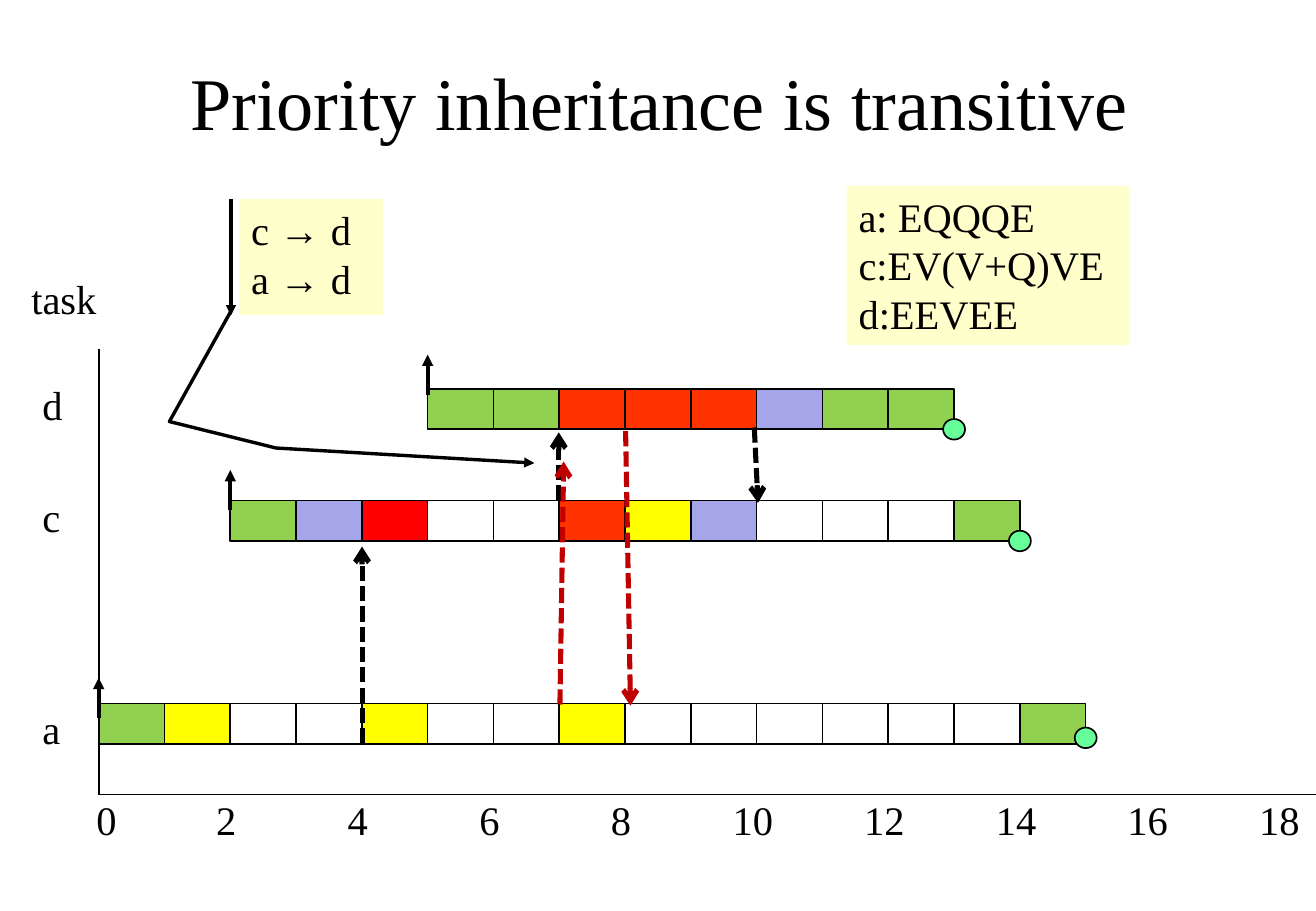
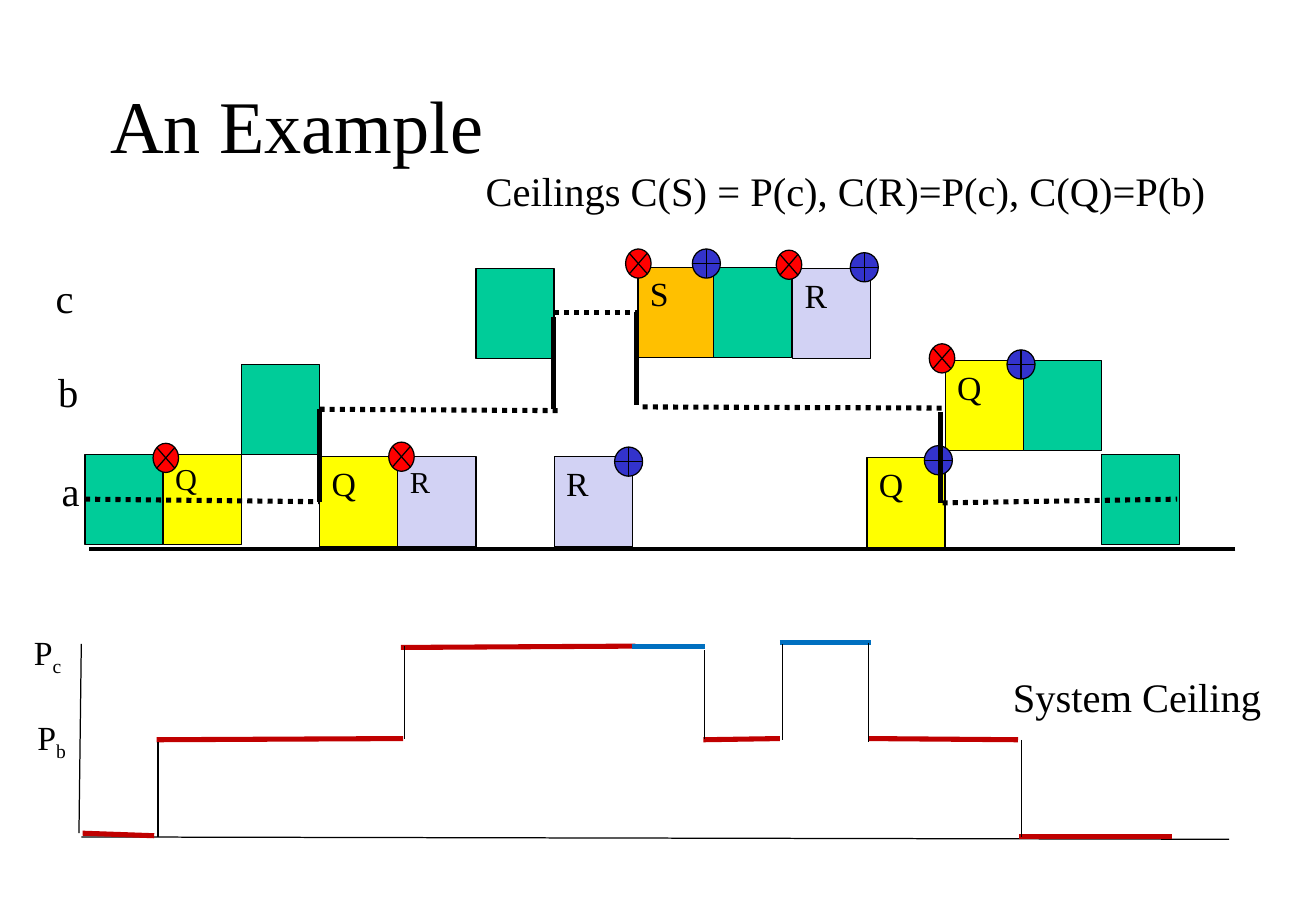
"""Build two scheduling slides: priority inheritance and priority ceilings."""
from dataclasses import dataclass

from lxml.etree import SubElement
from pptx import Presentation
from pptx.dml.color import RGBColor
from pptx.enum.dml import MSO_LINE
from pptx.enum.shapes import MSO_CONNECTOR, MSO_SHAPE
from pptx.enum.text import MSO_ANCHOR, PP_ALIGN
from pptx.oxml.ns import qn
from pptx.util import Pt


@dataclass(frozen=True)
class Theme:
    font: str = "Times New Roman"
    symbol_font: str = "Arial"
    title: int = 44
    body: int = 24
    label: int = 20
    small: int = 18
    ink: str = "000000"
    crimson: str = "C00000"
    azure: str = "0070C0"
    yellow: str = "FFFF00"
    note: str = "FFFFCC"
    lime: str = "92D050"
    violet: str = "A5A5E9"
    red: str = "FF0000"
    orange_red: str = "FF3300"
    mint: str = "66FF99"
    teal: str = "00CC99"
    lavender: str = "D2D2F4"
    amber: str = "FFC000"
    blue: str = "3333CC"


T = Theme()


def box(s, kind, x, y, w, h, text="", size=T.body, fill=None, line=None, wrap=True):
    """Add a preset shape, or a text box when kind is None."""
    place = Pt(x), Pt(y), Pt(w), Pt(h)
    if kind is None:
        sp = s.shapes.add_textbox(*place)
    else:
        sp = s.shapes.add_shape(kind, *place)
        sp.shadow.inherit = False
        if fill:
            sp.fill.solid()
            sp.fill.fore_color.rgb = RGBColor.from_string(fill)
        else:
            sp.fill.background()
        if line:
            sp.line.color.rgb = RGBColor.from_string(T.ink)
            sp.line.width = Pt(line)
        else:
            sp.line.fill.background()
    tf = sp.text_frame
    tf.word_wrap = wrap
    tf.vertical_anchor = MSO_ANCHOR.TOP
    if text:
        tf.text = text
        for p in tf.paragraphs:
            p.alignment = PP_ALIGN.LEFT
            p.font.name = T.font
            p.font.size = Pt(size)
            p.font.color.rgb = RGBColor.from_string(T.ink)
    return sp


def line(s, x1, y1, x2, y2, width, color=T.ink, dash=None, arrow=None):
    """Add a straight line, with an optional arrowhead at its end."""
    cx = s.shapes.add_connector(MSO_CONNECTOR.STRAIGHT, Pt(x1), Pt(y1), Pt(x2), Pt(y2))
    cx.line.color.rgb = RGBColor.from_string(color)
    cx.line.width = Pt(width)
    if dash:
        cx.line.dash_style = dash
    spPr = cx.element.spPr
    if arrow:
        SubElement(spPr.find(qn("a:ln")), qn("a:tailEnd"), type=arrow)
    SubElement(spPr, qn("a:effectLst"))


prs = Presentation()
prs.slide_width, prs.slide_height = Pt(780), Pt(540)
blank = prs.slide_layouts[6]
slides = []
for title, x, y, w, h, align in [
    ("Priority inheritance is transitive", 60, 30, 662, 60, PP_ALIGN.CENTER),
    ("An Example", 58.3, 48, 248.4, 50.4, PP_ALIGN.LEFT),
]:
    s = prs.slides.add_slide(blank)
    tf = box(s, None, x, y, w, h, title, T.title).text_frame
    tf.vertical_anchor = MSO_ANCHOR.MIDDLE
    tf.paragraphs[0].alignment = align
    slides.append(s)
inheritance, ceiling = slides

s = inheritance
left, unit, cell_h = 58.5, 39, 24
line(s, left, 206.6, left, 471, 1)
line(s, left, 471, 780, 471, 1)

cell_fills = {"E": T.lime, "Q": T.yellow, "V": T.violet, "r": T.red, "b": T.orange_red, ".": None}
for task, start, cells, top, label_top, release, deadline in [
    ("a", 0, "EQ..Q..Q......E", 417, 414, 425.5, 431.3),
    ("c", 2, "EVr..bQV...E", 296.6, 288, 302.4, 314.6),
    ("d", 5, "EEbbbVEE", 230.4, 221.8, 234, 248.4),
]:
    x = left + unit * start
    for i, cell in enumerate(cells):
        box(s, MSO_SHAPE.RECTANGLE, x + unit * i, top, unit, cell_h, fill=cell_fills[cell], line=1)
    box(s, None, 18, label_top, 26.6, 36, task, wrap=False)
    line(s, x, release, x, release - 23.8, 2.25, arrow="triangle")
    box(s, MSO_SHAPE.OVAL, x + unit * len(cells) - 6.5, deadline, 13, 12.2, fill=T.mint, line=1)

box(s, None, 11.5, 159, 53.3, 36, "task", wrap=False)
for t in range(0, 20, 2):
    w = 26.6 if t < 10 else 38.2
    nudge = 0 if t else 7
    box(s, None, 56.3 + unit * t - w / 2 + nudge, 468, w, 36, str(t), wrap=False)

for x1, y1, x2, y2, color in [
    (214.6, 440.6, 214.6, 324, T.ink),
    (370.8, 255.6, 373.7, 418.3, T.crimson),
    (331.2, 296.6, 331.2, 256.3, T.ink),
    (331.9, 417.6, 334.1, 273.6, T.crimson),
    (447.1, 253.4, 449.3, 298.1, T.ink),
]:
    line(s, x1, y1, x2, y2, 3, color, MSO_LINE.SQUARE_DOT, "arrow")

box(s, MSO_SHAPE.RECTANGLE, 501.8, 110.2, 167.8, 94.3, "a: EQQQE\nc:EV(V+Q)VE\nd:EEVEE", fill=T.note)

callout = box(s, MSO_SHAPE.LINE_CALLOUT_3_ACCENT_BAR, 141.8, 118, 85, 69, "c \na ", fill=T.note, line=2)
for i, value in enumerate([0.963, -0.058, 1.912, -0.487, 2.139, 0.256, 2.269, 2.058]):
    callout.adjustments[i] = value
SubElement(callout.element.spPr.find(qn("a:ln")), qn("a:tailEnd"), type="triangle")
for p in callout.text_frame.paragraphs:
    r = p.add_run()
    r.text = "→ "
    r.font.name = T.symbol_font
    p.add_run().text = "d"

s = ceiling
line(s, 732.2, 325.4, 52.6, 325.4, 2)
slot_left, slot = 50.4, 46.35
for col, top, fill, resource, size in [
    (0, 269.3, T.teal, "", T.label),
    (1, 269.3, T.yellow, "Q", T.small),
    (2, 216, T.teal, "", T.label),
    (3, 270.7, T.yellow, "Q", T.label),
    (4, 270.7, T.lavender, "R", T.small),
    (5, 159.1, T.teal, "", T.label),
    (6, 270.7, T.lavender, "R", T.label),
    (7.07, 158.4, T.amber, "S", T.label),
    (8.04, 158.4, T.teal, "", T.label),
    (9.05, 159.1, T.lavender, "R", T.label),
    (10, 271.4, T.yellow, "Q", T.label),
    (11, 213.8, T.yellow, "Q", T.label),
    (12, 213.8, T.teal, "", T.label),
    (13, 269.3, T.teal, "", T.label),
]:
    box(s, MSO_SHAPE.RECTANGLE, slot_left + slot * col, top, 46.3, 53.5, resource, size, fill, 0.75)

locks = [(90.7, 262.8), (230.4, 262.1), (370.8, 147.6), (460.1, 148.3), (550.8, 203.8)]
unlocks = [(364.3, 265), (410.4, 147.6), (504, 149.8), (547.9, 264.2), (596.9, 207.4)]
for kind, marks, w, fill in [
    (MSO_SHAPE.FLOWCHART_SUMMING_JUNCTION, locks, 15.1, T.red),
    (MSO_SHAPE.FLOWCHART_OR, unlocks, 16.6, T.blue),
]:
    for x, y in marks:
        box(s, kind, x, y, w, 17.3, fill=fill, line=0.75)

for task, x, y in [("a", 29.5, 272.9), ("c", 25.9, 158.4), ("b", 27.4, 213.8)]:
    box(s, None, x, y, 20.9, 36, task)
box(s, None, 280.8, 95, 445, 36, "Ceilings C(S) = P(c), C(R)=P(c), C(Q)=P(b)", wrap=False)
box(s, None, 593.3, 394.6, 163.4, 36, "System Ceiling", wrap=False)

for task, x, y in [("b", 15.1, 421.2), ("c", 13, 370.8)]:
    sp = box(s, None, x, y, 32, 31.7, "P", T.label, wrap=False)
    r = sp.text_frame.paragraphs[0].add_run()
    r.text = task
    r.font.element.set("baseline", "-25000") if hasattr(r.font, "element") else r._r.get_or_add_rPr().set("baseline", "-25000")

line(s, 728.6, 497.5, 48.2, 496.1, 0.75)
line(s, 48.2, 381.6, 46.8, 493.9, 0.75)
for x1, y1, x2, y2, color in [
    (49, 493.9, 91.4, 495.4, T.crimson),
    (92.9, 438.5, 239, 437.8, T.crimson),
    (237.6, 383.8, 376.6, 383, T.crimson),
    (374.4, 383, 417.6, 383, T.azure),
    (416.9, 438.5, 462.2, 437.8, T.crimson),
    (462.2, 380.9, 516.2, 380.9, T.azure),
    (514.8, 437.8, 603.4, 438.5, T.crimson),
    (604.1, 496.1, 694.8, 496.1, T.crimson),
]:
    line(s, x1, y1, x2, y2, 3, color)

for x, y1, y2, width in [
    (93.6, 496.1, 439.9, 0.75),
    (239.8, 437.8, 383, 0.75),
    (417.6, 385.2, 437.8, 0.75),
    (463.7, 438.5, 381.6, 0.75),
    (514.8, 380.9, 439.9, 0.75),
    (605.5, 438.5, 496.1, 0.75),
    (328.3, 242.6, 187.9, 3),
    (189.4, 297.4, 242.6, 3),
    (377.3, 239.8, 185, 3),
    (557.3, 298.1, 244.1, 3),
]:
    line(s, x, y1, x, y2, width)

for x1, y1, x2, y2 in [
    (50.4, 295.9, 189.4, 297.4),
    (189.4, 242.6, 330.5, 243.4),
    (328.3, 185, 378, 185),
    (380.9, 241.2, 558.7, 241.9),
    (558.7, 298.1, 697.7, 295.9),
]:
    line(s, x1, y1, x2, y2, 3, dash=MSO_LINE.ROUND_DOT)

prs.save("out.pptx")
